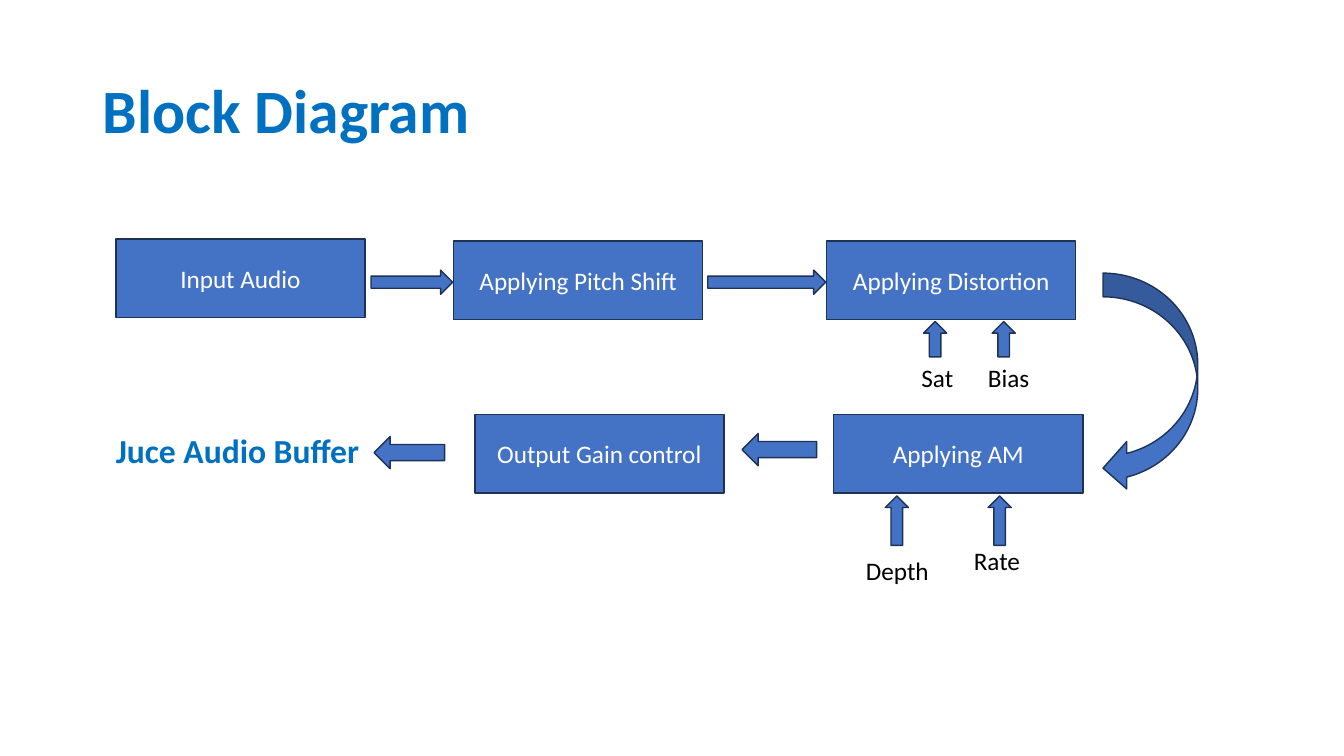
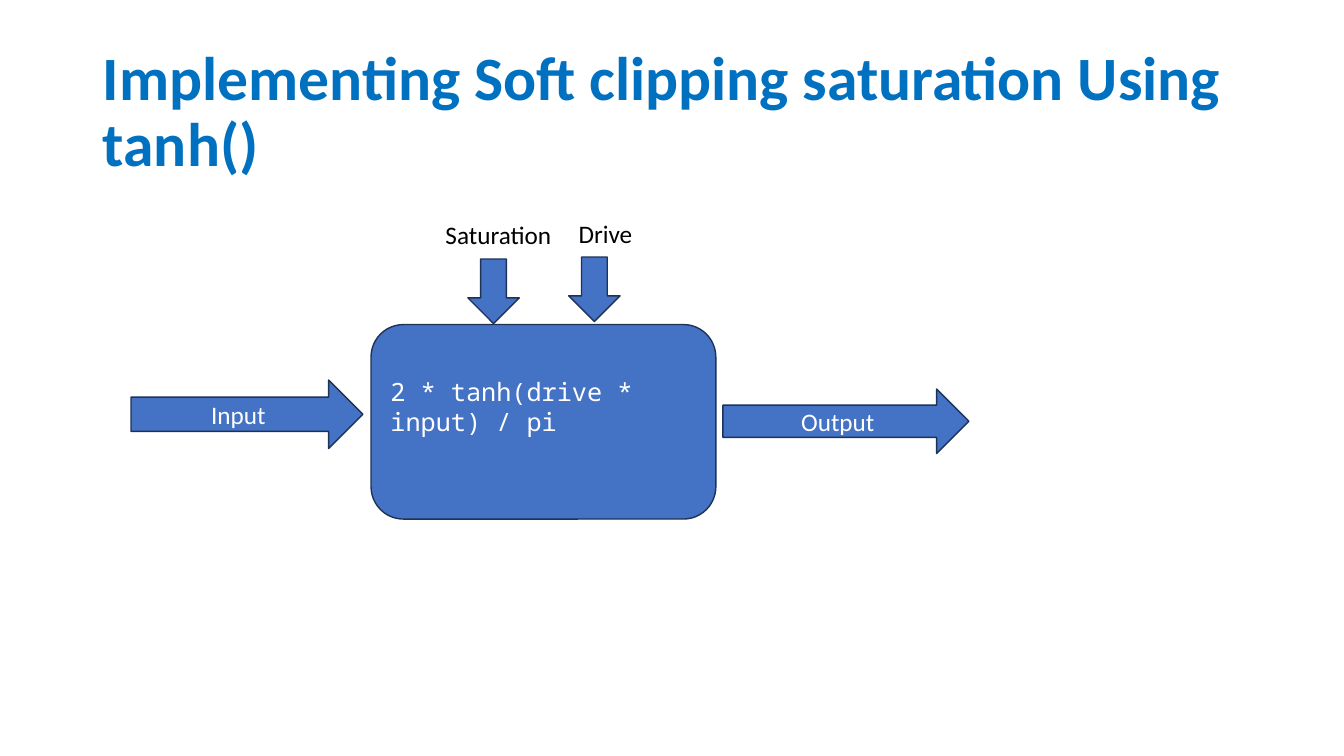
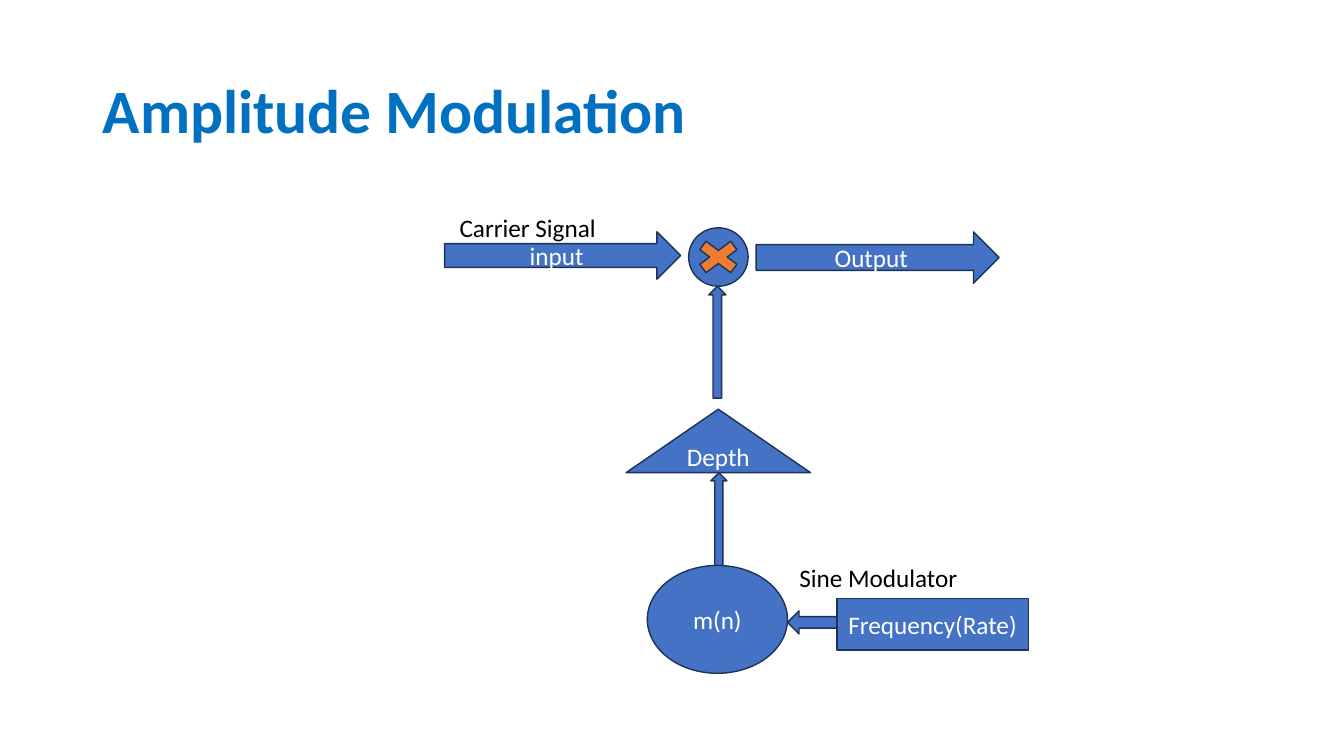
from dataclasses import dataclass

import pptx
import pptx.dml.color
import pptx.enum.shapes
import pptx.enum.text
import pptx.presentation
import pptx.shapes.base
import pptx.slide
import pptx.text.text
import pptx.util

Inches = pptx.util.Inches
Kind = pptx.enum.shapes.MSO_SHAPE
Align = pptx.enum.text.PP_ALIGN

BLUE = "4472C4"
OUTLINE = "1E3256"
ORANGE = "ED7D31"
ACCENT = "0070C0"
WHITE = "FFFFFF"
BLACK = "000000"
BODY_FONT = "Calibri"
CODE_FONT = "Noto Sans Mono"
BLOCK_SIZE = (2.47, 0.78)


@dataclass(frozen=True)
class Node:
    kind: Kind
    left: float
    top: float
    width: float
    height: float
    text: str = ""
    fill: str = BLUE
    font: str = BODY_FONT
    align: Align = Align.CENTER
    bottom_inset: float = 0.05


@dataclass(frozen=True)
class Label:
    left: float
    top: float
    width: float
    text: str
    height: float = 0.4
    size: int = 18
    color: str = BLACK
    bold: bool = False
    wrap: bool = False


@dataclass(frozen=True)
class Diagram:
    title: str
    nodes: list[Node]
    labels: list[Label]


def block(left: float, top: float, text: str) -> Node:
    return Node(Kind.RECTANGLE, left, top, *BLOCK_SIZE, text)


def arrow_row(kind: Kind, lefts: list[float], top: float, width: float, height: float) -> list[Node]:
    return [Node(kind, left, top, width, height) for left in lefts]


DIAGRAMS = [
    Diagram(
        "Block Diagram",
        [
            block(1.15, 2.37, "Input Audio"),
            block(4.5, 2.39, "Applying Pitch Shift"),
            block(8.2, 2.39, "Applying Distortion"),
            block(8.27, 4.11, "Applying AM"),
            block(4.71, 4.11, "Output Gain control"),
            Node(Kind.RIGHT_ARROW, 3.68, 2.68, 0.81, 0.24),
            Node(Kind.RIGHT_ARROW, 7.02, 2.68, 1.17, 0.24),
            Node(Kind.CURVED_LEFT_ARROW, 10.94, 2.71, 0.94, 2.17),
            Node(Kind.LEFT_ARROW, 7.36, 4.3, 0.74, 0.32),
            Node(Kind.LEFT_ARROW, 3.71, 4.33, 0.7, 0.32),
            *arrow_row(Kind.UP_ARROW, [9.16, 9.84], 3.19, 0.23, 0.35),
            *arrow_row(Kind.UP_ARROW, [8.78, 9.8], 4.92, 0.23, 0.49),
        ],
        [
            Label(9.04, 3.55, 0.52, "Sat"),
            Label(9.7, 3.55, 0.62, "Bias"),
            Label(8.49, 5.46, 0.83, "Depth"),
            Label(9.56, 5.36, 0.66, "Rate"),
            Label(1.05, 4.22, 3.34, "Juce Audio Buffer", 0.5, 24, ACCENT, True, True),
        ],
    ),
    Diagram(
        "Implementing Soft clipping saturation Using tanh()",
        [
            Node(Kind.ROUNDED_RECTANGLE, 3.68, 3.22, 3.42, 1.93, "2 * tanh(drive * input) / pi",
                 font=CODE_FONT, align=Align.LEFT, bottom_inset=0.35),
            Node(Kind.RIGHT_ARROW, 1.3, 3.77, 2.3, 0.68, "Input"),
            Node(Kind.RIGHT_ARROW, 7.17, 3.86, 2.44, 0.64, "Output"),
            Node(Kind.DOWN_ARROW, 4.64, 2.57, 0.51, 0.64),
            Node(Kind.DOWN_ARROW, 5.64, 2.55, 0.51, 0.64),
        ],
        [
            Label(4.32, 2.13, 1.26, "Saturation"),
            Label(5.64, 2.12, 0.74, "Drive"),
        ],
    ),
    Diagram(
        "Amplitude Modulation",
        [
            Node(Kind.ISOSCELES_TRIANGLE, 6.21, 4.06, 1.83, 0.63, "Depth"),
            Node(Kind.OVAL, 6.83, 2.26, 0.59, 0.58),
            Node(Kind.MATH_MULTIPLY, 6.83, 2.33, 0.59, 0.44, fill=ORANGE),
            Node(Kind.UP_ARROW, 7.03, 2.84, 0.17, 1.11),
            Node(Kind.UP_ARROW, 7.05, 4.69, 0.16, 0.92),
            Node(Kind.RIGHT_ARROW, 4.41, 2.3, 2.34, 0.47, "input"),
            Node(Kind.RIGHT_ARROW, 7.5, 2.3, 2.41, 0.51, "Output"),
            Node(Kind.OVAL, 6.42, 5.61, 1.39, 1.07, "m(n)"),
            Node(Kind.LEFT_ARROW, 7.81, 6.06, 0.49, 0.23),
            Node(Kind.RECTANGLE, 8.3, 5.94, 1.9, 0.51, "Frequency(Rate)"),
        ],
        [
            Label(4.46, 2.06, 1.57, "Carrier Signal"),
            Label(7.83, 5.53, 1.79, "Sine Modulator"),
        ],
    ),
]


def rgb(color: str) -> pptx.dml.color.RGBColor:
    return pptx.dml.color.RGBColor.from_string(color)


def write(frame: pptx.text.text.TextFrame, text: str, size: int, color: str,
          font: str = BODY_FONT, bold: bool = False, align: Align = Align.LEFT) -> None:
    frame.text = text
    para = frame.paragraphs[0]
    para.alignment = align
    para.font.name = font
    para.font.size = pptx.util.Pt(size)
    para.font.bold = bold
    para.font.color.rgb = rgb(color)


def add_title(page: pptx.slide.Slide, text: str) -> None:
    title = page.shapes.title
    title.left, title.top = Inches(0.92), Inches(0.4)
    title.width, title.height = Inches(11.5), Inches(1.45)
    frame = title.text_frame
    write(frame, text, 44, ACCENT, bold=True)
    frame.word_wrap = True
    frame.auto_size = pptx.enum.text.MSO_AUTO_SIZE.NONE
    frame.vertical_anchor = pptx.enum.text.MSO_ANCHOR.MIDDLE
    frame.paragraphs[0].line_spacing = 0.9


def add_node(page: pptx.slide.Slide, node: Node) -> None:
    shape = page.shapes.add_shape(
        node.kind, Inches(node.left), Inches(node.top), Inches(node.width), Inches(node.height))
    shape.shadow.inherit = False
    shape.fill.solid()
    shape.fill.fore_color.rgb = rgb(node.fill)
    shape.line.color.rgb = rgb(OUTLINE)
    shape.line.width = pptx.util.Pt(1)
    if node.text:
        shape.text_frame.margin_bottom = Inches(node.bottom_inset)
        write(shape.text_frame, node.text, 18, WHITE, node.font, align=node.align)


def add_label(page: pptx.slide.Slide, label: Label) -> None:
    box = page.shapes.add_textbox(
        Inches(label.left), Inches(label.top), Inches(label.width), Inches(label.height))
    box.text_frame.word_wrap = label.wrap
    box.text_frame.auto_size = pptx.enum.text.MSO_AUTO_SIZE.SHAPE_TO_FIT_TEXT
    write(box.text_frame, label.text, label.size, label.color, bold=label.bold)


def add_page(deck: pptx.presentation.Presentation, diagram: Diagram) -> None:
    page = deck.slides.add_slide(deck.slide_layouts.get_by_name("Title Only"))
    add_title(page, diagram.title)
    for node in diagram.nodes:
        add_node(page, node)
    for label in diagram.labels:
        add_label(page, label)


def main() -> None:
    deck = pptx.Presentation()
    deck.slide_width, deck.slide_height = Inches(13.33), Inches(7.5)
    for diagram in DIAGRAMS:
        add_page(deck, diagram)
    deck.save("out.pptx")


if __name__ == "__main__":
    main()
